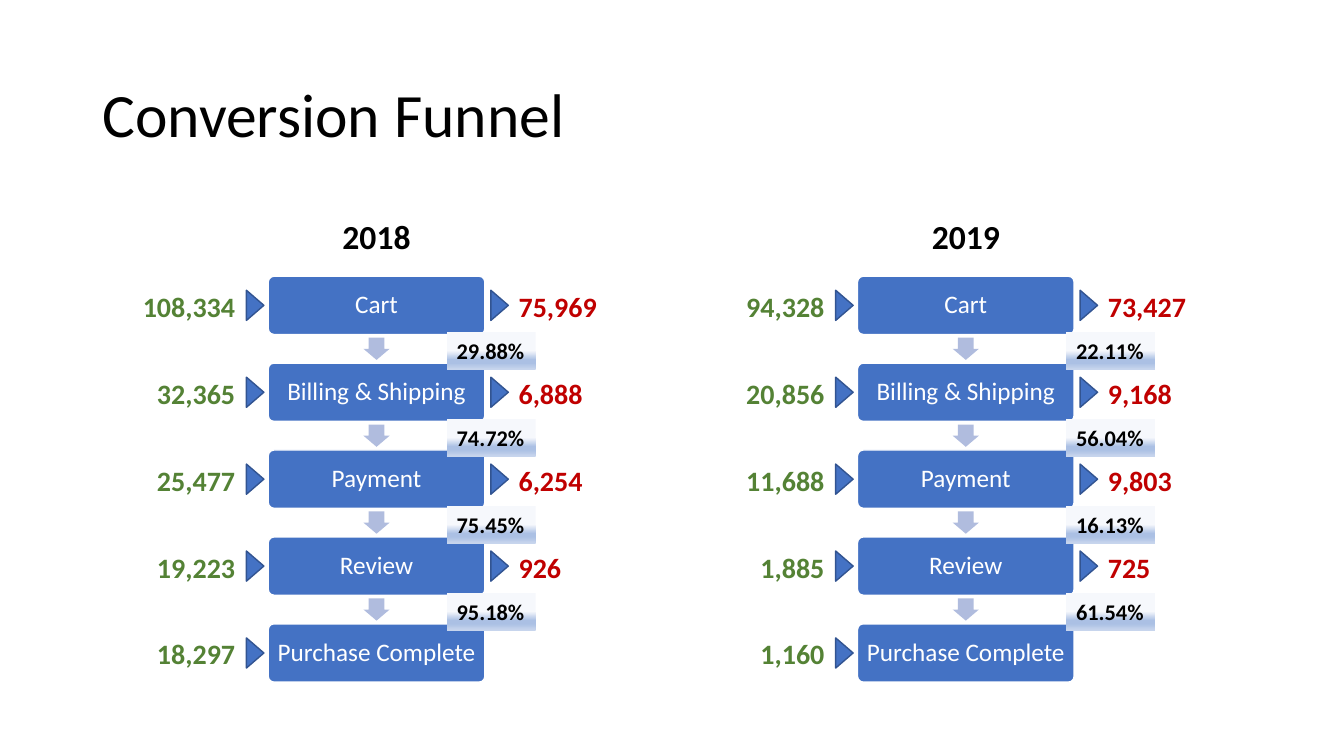
from copy import deepcopy
from pptx import Presentation
from pptx.dml.color import RGBColor
from pptx.enum.shapes import MSO_SHAPE as Shape
from pptx.enum.text import MSO_ANCHOR as Anchor, PP_ALIGN as Align
from pptx.oxml.ns import qn
from pptx.util import Cm, Pt

BLACK = RGBColor(0x00, 0x00, 0x00)
WHITE = RGBColor(0xFF, 0xFF, 0xFF)
BLUE = RGBColor(0x44, 0x72, 0xC4)
NAVY = RGBColor(0x32, 0x54, 0x91)
PALE = RGBColor(0xB0, 0xBC, 0xDE)
GREEN = RGBColor(0x54, 0x82, 0x35)
RED = RGBColor(0xC0, 0x00, 0x00)
SHADES = [
    (0.5, RGBColor(0xF6, 0xF8, 0xFC)),
    (0.74, RGBColor(0xAB, 0xC0, 0xE4)),
    (0.83, RGBColor(0xAB, 0xC0, 0xE4)),
    (1.0, RGBColor(0xC7, 0xD5, 0xED)),
]

STEPS = ["Cart", "Billing & Shipping", "Payment", "Review", "Purchase Complete"]
YEARS = [
    ("2018", 6.76, 4.5,
     ["108,334", "32,365", "25,477", "19,223", "18,297"],
     ["75,969", "6,888", "6,254", "926"],
     ["29.88%", "74.72%", "75.45%", "95.18%"]),
    ("2019", 21.61, 5.26,
     ["94,328", "20,856", "11,688", "1,885", "1,160"],
     ["73,427", "9,168", "9,803", "725"],
     ["22.11%", "56.04%", "16.13%", "61.54%"]),
]
TOP, PITCH = 6.96, 2.19
WIDE, HIGH = 5.46, 1.47


def write(shape, text, size, color, bold=False, align=Align.LEFT,
          anchor=Anchor.TOP, wrap=True):
    """Put one formatted line of text into a shape."""
    frame = shape.text_frame
    frame.word_wrap = wrap
    frame.vertical_anchor = anchor
    frame.text = text
    line = frame.paragraphs[0]
    line.alignment = align
    font = line.runs[0].font
    font.name, font.size, font.bold = "Calibri", Pt(size), bold
    font.color.rgb = color


def label(slide, box, text, size, color, **style):
    """Add a text box at left, top, width, height."""
    write(slide.shapes.add_textbox(*map(Cm, box)), text, size, color, **style)


def block(slide, kind, box, fill=None, edge=None):
    """Add a preset shape with a plain fill and an optional edge."""
    shape = slide.shapes.add_shape(kind, *map(Cm, box))
    shape.shadow.inherit = False
    if fill is not None:
        shape.fill.solid()
        shape.fill.fore_color.rgb = fill
    if edge is None:
        shape.line.fill.background()
    else:
        shape.line.color.rgb = edge
        shape.line.width = Pt(1)
    return shape


def marker(slide, x, y):
    """Add a triangle that points right, centred on x, y."""
    shape = block(slide, Shape.FLOWCHART_EXTRACT,
                  (x - 0.38, y - 0.22, 0.76, 0.44), BLUE, NAVY)
    shape.rotation = 90


def step(slide, left, top, name):
    """Add the box of one funnel step."""
    shape = block(slide, Shape.ROUNDED_RECTANGLE,
                  (left, top, WIDE, HIGH), BLUE, WHITE)
    shape.adjustments[0] = 0.1
    frame = shape.text_frame
    frame.margin_left = frame.margin_right = Cm(0.15)
    write(shape, name, 18, WHITE, align=Align.CENTER, anchor=Anchor.MIDDLE)
    shape.text_frame.paragraphs[0].line_spacing = 0.9


def arrow(slide, left, top):
    """Add the down arrow below the step at left, top."""
    x, y = left + WIDE / 2, top + (HIGH + PITCH) / 2
    shape = block(slide, Shape.DOWN_ARROW,
                  (x - 0.33, y - 0.28, 0.66, 0.56), PALE)
    shape.adjustments[0] = 0.6
    shape.adjustments[1] = 0.5


def rate(slide, left, top, text):
    """Add a shaded tag with a conversion rate."""
    shape = block(slide, Shape.RECTANGLE, (left, top, 2.24, 0.94))
    shape.fill.gradient()
    shape.fill.gradient_angle = 270
    stops = next(shape.element.iter(qn("a:gsLst")))
    for stop in list(stops):
        stops.append(deepcopy(stop))
    for stop, (place, color) in zip(shape.fill.gradient_stops, SHADES):
        stop.position = place
        stop.color.rgb = color
    write(shape, text, 16, BLACK, bold=True, wrap=False)


def funnel(slide, left, top, year, shift, inflow, exits, rates):
    """Draw the funnel of one year with its first step at left, top."""
    label(slide, (left - 4.43, top - 2.67, WIDE + 8.86, 2.29), year, 24, BLACK,
          bold=True, align=Align.CENTER, anchor=Anchor.BOTTOM)
    tops = [top + PITCH * i for i in range(len(STEPS))]
    for y, name, count in zip(tops, STEPS, inflow):
        mid = y + HIGH / 2
        step(slide, left, y, name)
        marker(slide, left - 0.33, mid)
        label(slide, (left - 3.68, mid - 0.53, 3.1, 1.12), count, 20, GREEN,
              bold=True, align=Align.RIGHT)
    for y, count, share in zip(tops, exits, rates):
        mid = y + HIGH / 2
        arrow(slide, left, y)
        marker(slide, left + WIDE + 0.37, mid)
        label(slide, (left + WIDE + 0.6, mid - 0.53, 2.5, 1.12), count, 20,
              RED, bold=True)
        rate(slide, left + shift, y + 1.41, share)


def main():
    """Build the slide and save it."""
    deck = Presentation()
    deck.slide_width, deck.slide_height = Cm(33.87), Cm(19.05)
    slide = deck.slides.add_slide(deck.slide_layouts[6])
    label(slide, (2.33, 1.01, 29.21, 3.68), "Conversion Funnel", 44, BLACK,
          anchor=Anchor.MIDDLE)
    for year, left, shift, inflow, exits, rates in YEARS:
        funnel(slide, left, TOP, year, shift, inflow, exits, rates)
    deck.save("out.pptx")


if __name__ == "__main__":
    main()
